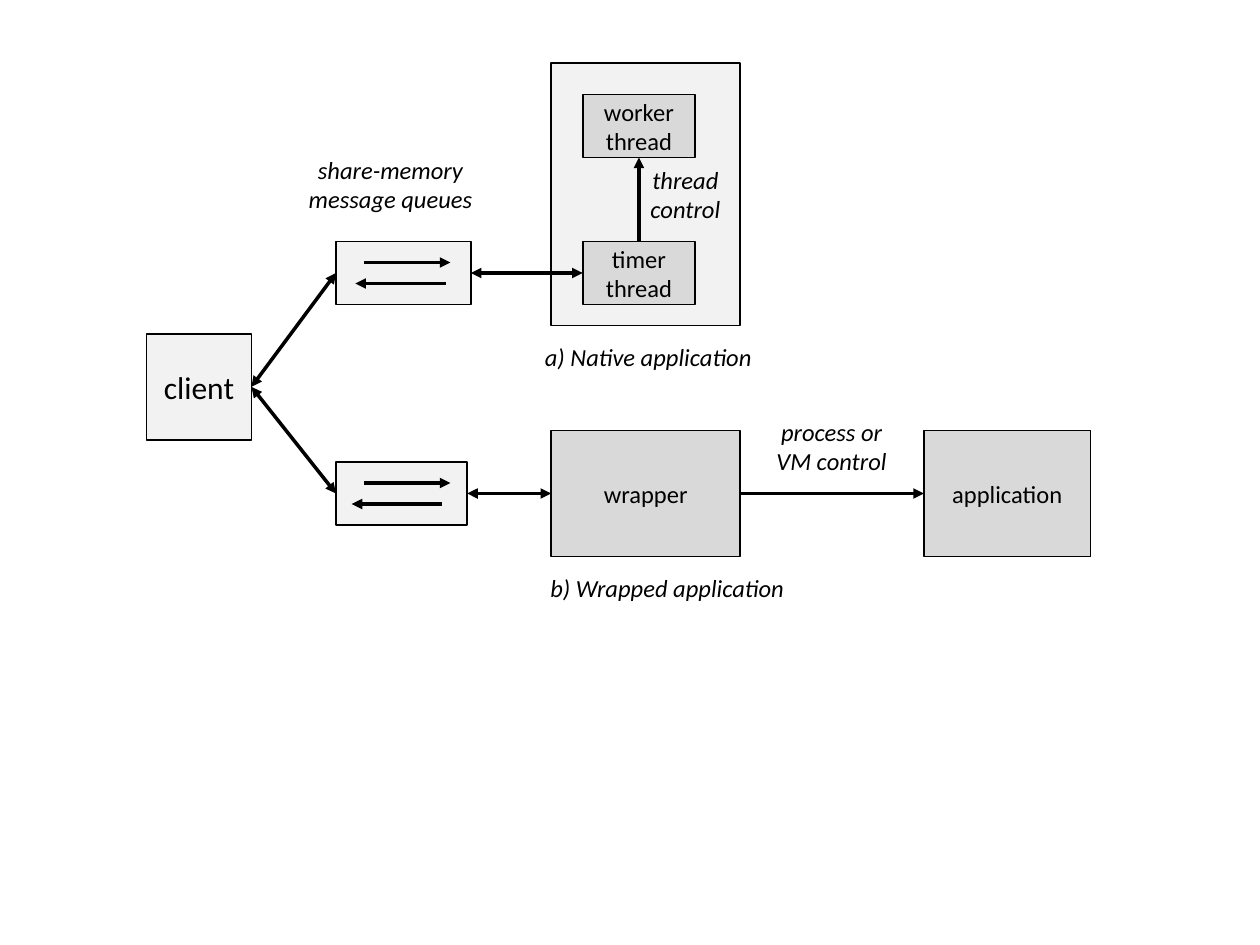
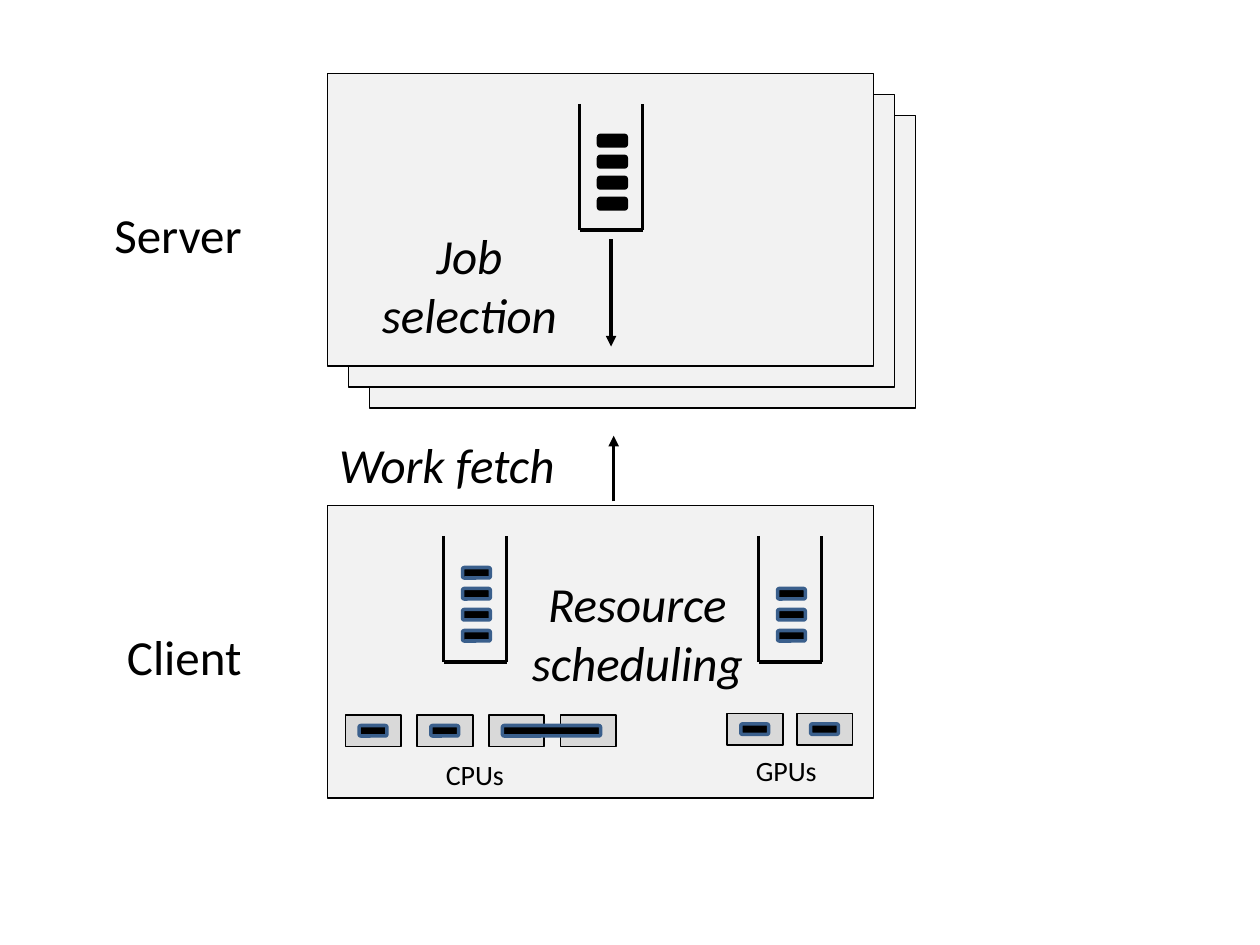
from dataclasses import dataclass

from lxml import etree
from pptx import Presentation
from pptx import util as u
from pptx.dml import color
from pptx.enum import shapes, text
from pptx.oxml import ns


@dataclass(frozen=True)
class Theme:
    font: str = "Calibri"
    ink: str = "000000"
    panel: str = "F2F2F2"
    block: str = "D9D9D9"
    job_edge: str = "3A5F8C"
    small: int = 14
    caption: int = 16
    client: int = 18
    large: int = 28
    thin: int = 1
    thick: int = 2


THEME = Theme()
COLUMNS, ROWS = 240, 180
RECT = shapes.MSO_SHAPE.RECTANGLE
ROUNDED = shapes.MSO_SHAPE.ROUNDED_RECTANGLE
TOP, LEFT, BOTTOM, RIGHT = range(4)  # connection sites of a rectangle

deck = Presentation()
deck.slide_width, deck.slide_height = u.Inches(10), u.Inches(7.5)


def rgb(value):
    return color.RGBColor.from_string(value)


@dataclass
class Region:
    """A box on a page; its parts are placed in grid columns and rows."""
    page: object
    left: float = 0
    top: float = 0
    width: float = COLUMNS
    height: float = ROWS

    def point(self, x, y):
        return (u.Emu(round((self.left + x) * deck.slide_width / COLUMNS)),
                u.Emu(round((self.top + y) * deck.slide_height / ROWS)))

    def extent(self, width, height):
        return (u.Emu(round(width * deck.slide_width / COLUMNS)),
                u.Emu(round(height * deck.slide_height / ROWS)))

    def inner(self, x, y, width, height):
        return Region(self.page, self.left + x, self.top + y, width, height)

    def shape(self, x, y, width, height, fill=THEME.panel, lines=(),
              size=THEME.small, kind=RECT, edge=THEME.ink, weight=THEME.thin):
        box = self.page.shapes.add_shape(
            kind, *self.point(x, y), *self.extent(width, height))
        box.shadow.inherit = False
        box.fill.solid()
        box.fill.fore_color.rgb = rgb(fill)
        box.line.color.rgb = rgb(edge)
        box.line.width = u.Pt(weight)
        if lines:
            write(box.text_frame, lines, size, text.MSO_ANCHOR.MIDDLE)
        return box

    def outline(self):
        return self.shape(0, 0, self.width, self.height)

    def label(self, x, y, width, height, lines, size=THEME.small, italic=True):
        box = self.page.shapes.add_textbox(
            *self.point(x, y), *self.extent(width, height))
        write(box.text_frame, lines, size, text.MSO_ANCHOR.TOP, italic)

    def line(self, start, end, ends=()):
        stroke = self.page.shapes.add_connector(
            shapes.MSO_CONNECTOR.STRAIGHT, *self.point(*start), *self.point(*end))
        return draw_line(stroke, ends)


def write(frame, lines, size, anchor, italic=False):
    frame.word_wrap = True
    frame.vertical_anchor = anchor
    style = {"name": THEME.font, "size": u.Pt(size), "italic": italic}
    for index, words in enumerate(lines):
        para = frame.add_paragraph() if index else frame.paragraphs[0]
        para.alignment = text.PP_ALIGN.CENTER
        span = para.add_run()
        span.text = words
        for name, value in style.items():
            setattr(span.font, name, value)
        span.font.color.rgb = rgb(THEME.ink)


def draw_line(stroke, ends):
    stroke.line.color.rgb = rgb(THEME.ink)
    stroke.line.width = u.Pt(THEME.thick)
    properties = stroke.line._get_or_add_ln()
    for end in ends:
        etree.SubElement(properties, ns.qn(f"a:{end}"), type="triangle")
    etree.SubElement(stroke._element.spPr, ns.qn("a:effectLst"))
    return stroke


ONE_WAY = ("tailEnd",)
TWO_WAY = ("headEnd", "tailEnd")


def join(page, source, source_site, target, target_site, ends=TWO_WAY):
    """Glue an arrow to the sides of two shapes."""
    stroke = page.shapes.add_connector(
        shapes.MSO_CONNECTOR.STRAIGHT, 0, 0, 0, 0)
    stroke.begin_connect(source, source_site)
    stroke.end_connect(target, target_site)
    draw_line(stroke, ends)


def new_page():
    blank = deck.slide_layouts.get_by_name("Blank")
    return Region(deck.slides.add_slide(blank))


# Slide 1: native and wrapped applications
def message_queue(region):
    box = region.outline()
    region.line((5.3, 4), (21.8, 4), ONE_WAY)
    region.line((region.width - 4.8, 8), (region.width - 22, 8), ONE_WAY)
    return box


def native_application(region):
    region.outline()
    worker, timer = (
        region.shape(6, row, 21.4, 12, THEME.block, (name, "thread"))
        for name, row in (("worker", 6), ("timer", 34)))
    region.label(12.1, 18.2, 26.9, 13.7, ("thread", "control"))
    join(region.page, timer, TOP, worker, BOTTOM, ONE_WAY)
    region.label(-5, 52, 47, 8.2, ("a) Native application",))
    return timer


def wrapped_application(region):
    wrapper = region.shape(0, 0, 36, region.height, THEME.block, ("wrapper",))
    application = region.shape(71, 0, 31.7, region.height, THEME.block,
                               ("application",))
    region.label(29.9, -3.8, 47, 13.7, ("process or", "VM control"))
    join(region.page, wrapper, RIGHT, application, LEFT, ONE_WAY)
    region.label(-5, 26, 54.2, 8.2, ("b) Wrapped application",))
    return wrapper


def application_slide():
    canvas = new_page()
    timer = native_application(canvas.inner(105, 12, 36, 50))
    wrapper = wrapped_application(canvas.inner(105, 82, 102.7, 24))
    client = canvas.shape(27.9, 63.6, 20, 20.2, lines=("client",),
                          size=THEME.client)
    canvas.label(50.9, 28.3, 47, 13.7, ("share-memory", "message queues"))
    for row, width, target in ((46, 25.7, timer), (88, 25, wrapper)):
        queue = message_queue(canvas.inner(64, row, width, 12))
        join(canvas.page, queue, RIGHT, target, LEFT)
        join(canvas.page, client, RIGHT, queue, LEFT)


# Slide 2: scheduling on server and client
JOB_WIDTH, JOB_HEIGHT = 5.3, 2
CORE_WIDTH, CORE_HEIGHT = 10.6, 6


def job(region, x, y, edge=THEME.job_edge, width=JOB_WIDTH):
    region.shape(x, y, width, JOB_HEIGHT, THEME.ink, kind=ROUNDED,
                 edge=edge, weight=THEME.thick)


def job_queue(region, count, edge=THEME.job_edge):
    """An open bin with jobs piled up from the bottom."""
    corners = ((0, 0), (0, region.height),
               (region.width, region.height), (region.width, 0))
    for start, end in zip(corners, corners[1:]):
        region.line(start, end)
    for level in range(count):
        job(region, 3.6, 18 - 4 * level, edge)


def processors(region, count, pitch, job_widths):
    for index in range(count):
        region.shape(pitch * index, 0, CORE_WIDTH, CORE_HEIGHT, THEME.block)
    for index, width in enumerate(job_widths):
        job(region, pitch * index + 2.6, 2, width=width)


def server(region):
    for offset in (8, 4, 0):
        region.inner(offset, offset, region.width, region.height).outline()
    job_queue(region.inner(48, 5.8, 12, 24), 4, THEME.ink)
    region.label(0, 27.8, 54, 25, ("Job", "selection"), THEME.large)
    region.line((54, 31.6), (54, 52), ONE_WAY)


def client_host(region):
    region.outline()
    for column, count in ((22.1, 4), (82.1, 3)):
        job_queue(region.inner(column, 5.8, 12, 24), count)
    region.label(24, 11.8, 70, 25, ("Resource", "scheduling"), THEME.large)
    processors(region.inner(3.4, 39.9, 51.6, CORE_HEIGHT), 4, 13.65,
               (JOB_WIDTH, JOB_WIDTH, 18.7))
    processors(region.inner(76.1, 39.6, 23.8, CORE_HEIGHT), 2, 13.3,
               (JOB_WIDTH, JOB_WIDTH))
    for x, y, name in ((14.6, 46.8, "CPUs"), (73.9, 46.1, "GPUs")):
        region.label(x, y, 26.9, 8.9, (name,), THEME.caption, italic=False)


def scheduling_slide():
    canvas = new_page()
    server(canvas.inner(62.4, 14, 104, 55.7))
    client_host(canvas.inner(62.4, 96.3, 104, 55.7))
    for x, y, name in ((13.9, 37.7, "Server"), (15.1, 118.1, "Client")):
        canvas.label(x, y, 40, 13.7, (name,), THEME.large, italic=False)
    canvas.label(58.1, 81.6, 54, 13.7, ("Work fetch",), THEME.large)
    canvas.line((116.9, 95.5), (116.9, 83), ONE_WAY)


application_slide()
scheduling_slide()
deck.save("out.pptx")
